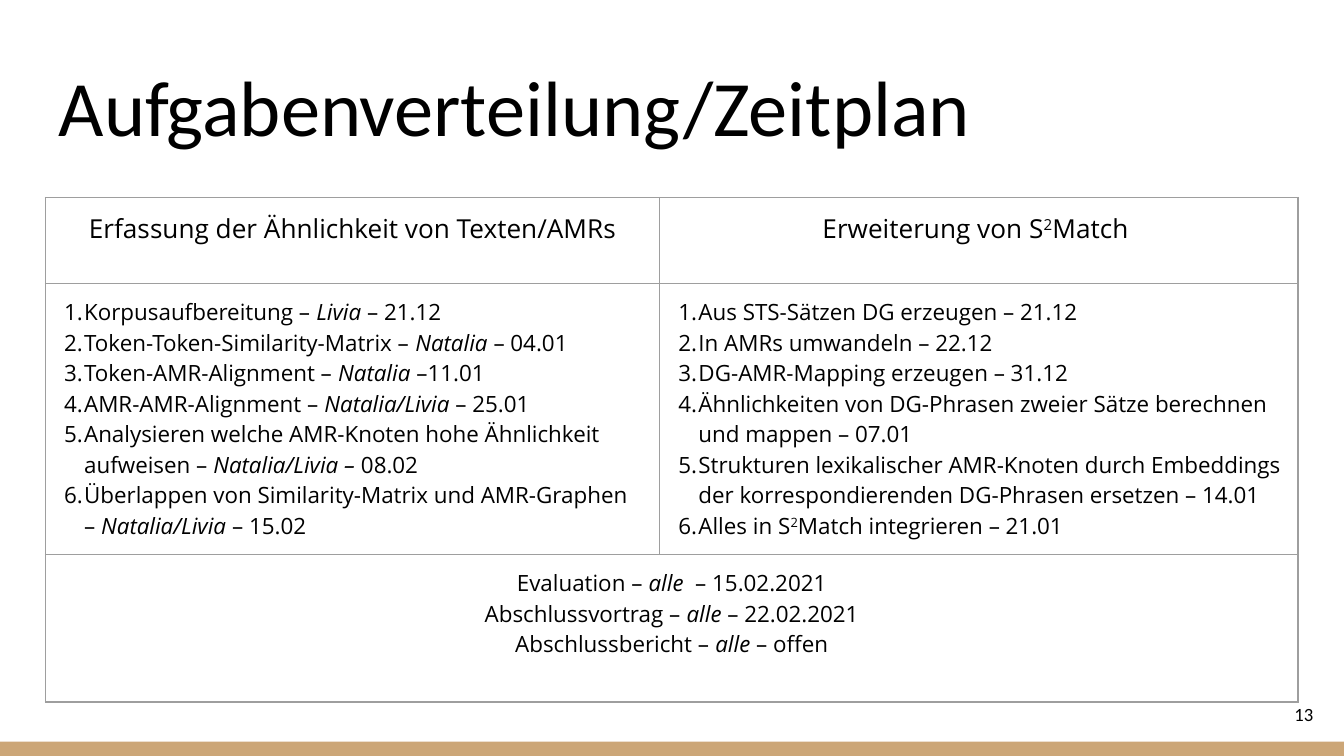
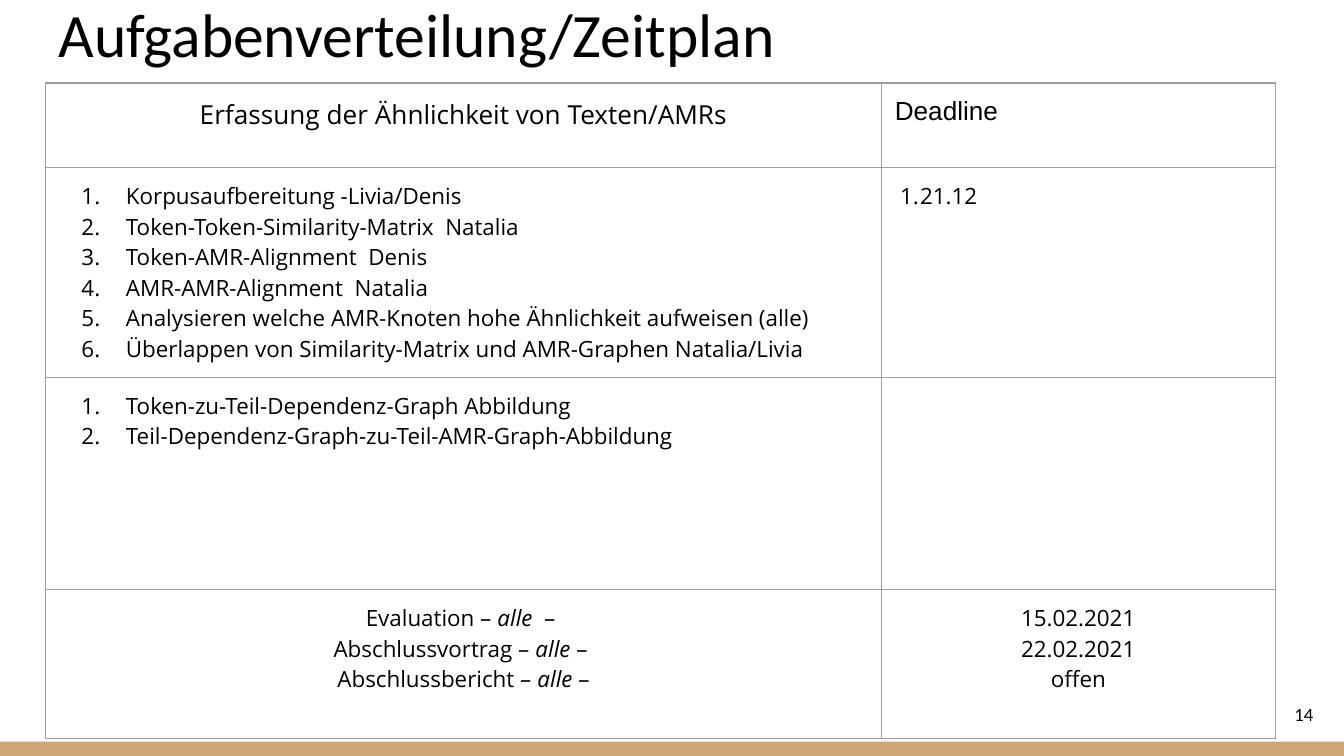
from dataclasses import dataclass

from lxml import etree
from pptx import Presentation
from pptx.dml.color import RGBColor
from pptx.enum.shapes import MSO_SHAPE
from pptx.enum.text import MSO_ANCHOR, MSO_AUTO_SIZE, PP_ALIGN
from pptx.oxml.ns import qn
from pptx.util import Cm, Pt

LEFT, CENTER, RIGHT = PP_ALIGN.LEFT, PP_ALIGN.CENTER, PP_ALIGN.RIGHT
BOTTOM, MIDDLE = MSO_ANCHOR.BOTTOM, MSO_ANCHOR.MIDDLE
NO_AUTOFIT = MSO_AUTO_SIZE.NONE
RECTANGLE = MSO_SHAPE.RECTANGLE
TITLE_ONLY = 5


@dataclass(frozen=True)
class Theme:
    text: str = "000000"
    band: str = "CCA677"
    grid: str = "9E9E9E"
    title_font: str = "Calibri"
    body_font: str = "Open Sans"
    plain_font: str = "Arial"
    title_size: int = 42
    small_title_size: int = 33
    header_size: int = 14
    body_size: int = 12
    number_size: int = 10
    grid_width: float = 0.75
    inset: float = 0.25
    left: float = 0.86


THEME = Theme()


@dataclass(frozen=True)
class Style:
    font: str = THEME.body_font
    size: int = THEME.body_size
    align: PP_ALIGN = LEFT
    space_after: int = 0
    indent: float = 0
    hanging: float = 0


HEADER = Style(size=THEME.header_size, align=CENTER, space_after=16)
PLAIN_HEADER = Style(font=THEME.plain_font, size=THEME.header_size)
TIGHT_LIST = Style(indent=0.48, hanging=0.38)
WIDE_LIST = Style(indent=1.27, hanging=0.84)
CENTERED = Style(align=CENTER)
PAGE_NUMBER = Style(font=THEME.title_font, size=THEME.number_size, align=RIGHT)


def color(value):
    return RGBColor.from_string(value)


def add_solid_fill(parent, value):
    fill = etree.SubElement(parent, qn("a:solidFill"))
    etree.SubElement(fill, qn("a:srgbClr"), val=value)


class Slides:
    """Holds the theme, the deck and the slide being filled."""

    def __init__(self, theme):
        self.theme = theme
        self.deck = Presentation()
        self.deck.slide_width, self.deck.slide_height = Cm(25.4), Cm(14.29)
        self.page = None

    def new_page(self, number):
        self.page = self.deck.slides.add_slide(self.deck.slide_layouts[TITLE_ONLY])
        self.band()
        self.page_number(number)

    def band(self):
        band = self.page.shapes.add_shape(RECTANGLE, 0, Cm(14.02), Cm(25.4), Cm(0.27))
        band.shadow.inherit = False
        band.fill.solid()
        band.fill.fore_color.rgb = color(self.theme.band)
        band.line.fill.background()

    def page_number(self, number):
        box = self.page.shapes.add_textbox(Cm(23.55), Cm(12.95), Cm(1.52), Cm(1.09))
        self.set_frame(box.text_frame, MIDDLE)
        self.add_lines(box.text_frame, [str(number)], PAGE_NUMBER)

    def title(self, text, top, width, size):
        title = self.page.shapes.title
        title.left, title.top = Cm(self.theme.left), Cm(top)
        title.width, title.height = Cm(width), Cm(2.31)
        self.set_frame(title.text_frame, BOTTOM)
        self.add_lines(title.text_frame, [text], Style(self.theme.title_font, size))

    def table(self, top, widths, heights, contents, merges=()):
        """Contents map (row, column) to a style and lines; merges pair corner cells."""
        frame = self.page.shapes.add_table(
            len(heights), len(widths), Cm(self.theme.left), Cm(top),
            Cm(sum(widths)), Cm(sum(heights)))
        table = frame.table
        table.first_row = table.horz_banding = False
        for column, width in zip(table.columns, widths):
            column.width = Cm(width)
        for row, height in zip(table.rows, heights):
            row.height = Cm(height)
        for cell in table.iter_cells():
            self.format_cell(cell)
        for first, last in merges:
            table.cell(*first).merge(table.cell(*last))
        for position, (style, lines) in contents.items():
            self.add_lines(table.cell(*position).text_frame, lines, style)

    def format_cell(self, cell):
        inset = Cm(self.theme.inset)
        cell.margin_left = cell.margin_right = inset
        cell.margin_top = cell.margin_bottom = inset
        properties = cell._tc.get_or_add_tcPr()
        for side in ("lnL", "lnR", "lnT", "lnB"):
            border = etree.SubElement(
                properties, qn(f"a:{side}"), w=str(Pt(self.theme.grid_width)))
            add_solid_fill(border, self.theme.grid)
        cell.fill.background()

    def set_frame(self, frame, anchor):
        inset = Cm(self.theme.inset)
        frame.margin_left = frame.margin_right = inset
        frame.margin_top = frame.margin_bottom = inset
        frame.word_wrap = True
        frame.auto_size = NO_AUTOFIT
        frame.vertical_anchor = anchor

    def add_lines(self, frame, lines, style):
        """Add one paragraph a line; *...* is italic and ^...^ is superscript."""
        for index, line in enumerate(lines):
            para = frame.add_paragraph() if index else frame.paragraphs[0]
            para.alignment = style.align
            para.space_before, para.space_after = Pt(0), Pt(style.space_after)
            if style.hanging:
                self.number(para, style)
            for i, part in enumerate(line.split("*")):
                for j, text in enumerate(part.split("^")):
                    if text:
                        self.add_span(para, text, style, i % 2 == 1, j % 2 == 1)

    def add_span(self, para, text, style, italic, raised):
        span = para.add_run()
        span.text = text
        span.font.name, span.font.size = style.font, Pt(style.size)
        span.font.color.rgb = color(self.theme.text)
        span.font.italic = italic
        if raised:
            span.font._element.set("baseline", "30000")

    def number(self, para, style):
        properties = para._p.get_or_add_pPr()
        properties.set("marL", str(Cm(style.indent)))
        properties.set("indent", str(-Cm(style.hanging)))
        bullet_color = etree.SubElement(properties, qn("a:buClr"))
        etree.SubElement(bullet_color, qn("a:srgbClr"), val=self.theme.text)
        etree.SubElement(properties, qn("a:buFont"), typeface=style.font)
        etree.SubElement(properties, qn("a:buAutoNum"), type="arabicPeriod")


TITLE = "Aufgabenverteilung/Zeitplan"
SIMILARITY = "Erfassung der Ähnlichkeit von Texten/AMRs"


def schedule_by_topic(slides):
    slides.new_page(13)
    slides.title(TITLE, 0.81, 21.89, THEME.title_size)
    contents = {
        (0, 0): (HEADER, [SIMILARITY]),
        (0, 1): (HEADER, ["Erweiterung von S^2^Match "]),
        (1, 0): (TIGHT_LIST, [
            "Korpusaufbereitung – *Livia *– 21.12",
            "Token-Token-Similarity-Matrix – *Natalia *– 04.01",
            "Token-AMR-Alignment – *Natalia *–11.01",
            "AMR-AMR-Alignment – *Natalia/Livia* – 25.01",
            "Analysieren welche AMR-Knoten hohe Ähnlichkeit aufweisen – "
            "*Natalia/Livia – *08.02",
            "Überlappen von Similarity-Matrix und AMR-Graphen  – "
            "*Natalia/Livia *– 15.02",
        ]),
        (1, 1): (TIGHT_LIST, [
            "Aus STS-Sätzen DG erzeugen – 21.12",
            "In AMRs umwandeln – 22.12",
            "DG-AMR-Mapping erzeugen – 31.12",
            "Ähnlichkeiten von DG-Phrasen zweier Sätze berechnen und mappen – 07.01",
            "Strukturen lexikalischer AMR-Knoten durch Embeddings der "
            "korrespondierenden DG-Phrasen ersetzen – 14.01",
            "Alles in S^2^Match integrieren – 21.01",
        ]),
        (2, 0): (CENTERED, [
            "Evaluation – *alle * – 15.02.2021",
            "Abschlussvortrag – *alle* – 22.02.2021",
            "Abschlussbericht – *alle* – offen",
        ]),
    }
    merges = [((0, 1), (0, 2)), ((1, 1), (1, 2)), ((2, 0), (2, 2))]
    slides.table(3.73, [11.61, 6.68, 5.38], [1.63, 5.12, 2.79], contents, merges)


def schedule_by_deadline(slides):
    slides.new_page(14)
    slides.title(TITLE, -0.74, 23.67, THEME.small_title_size)
    contents = {
        (0, 0): (HEADER, [SIMILARITY]),
        (0, 1): (PLAIN_HEADER, ["Deadline"]),
        (1, 0): (WIDE_LIST, [
            "Korpusaufbereitung -Livia/Denis",
            "Token-Token-Similarity-Matrix  Natalia",
            "Token-AMR-Alignment  Denis",
            "AMR-AMR-Alignment  Natalia",
            "Analysieren welche AMR-Knoten hohe Ähnlichkeit aufweisen (alle)",
            "Überlappen von Similarity-Matrix und AMR-Graphen Natalia/Livia",
        ]),
        (1, 1): (TIGHT_LIST, ["21.12"]),
        (2, 0): (WIDE_LIST, [
            "Token-zu-Teil-Dependenz-Graph Abbildung",
            "Teil-Dependenz-Graph-zu-Teil-AMR-Graph-Abbildung",
        ]),
        (3, 0): (CENTERED, [
            "Evaluation – *alle*  – ",
            "Abschlussvortrag – *alle* – ",
            "Abschlussbericht – *alle* –",
        ]),
        (3, 1): (CENTERED, ["15.02.2021", "22.02.2021", "offen"]),
    }
    slides.table(1.57, [15.8, 7.44], [1.6, 3.96, 4.01, 2.82], contents)


def main():
    slides = Slides(THEME)
    schedule_by_topic(slides)
    schedule_by_deadline(slides)
    slides.deck.save("out.pptx")


if __name__ == "__main__":
    main()
